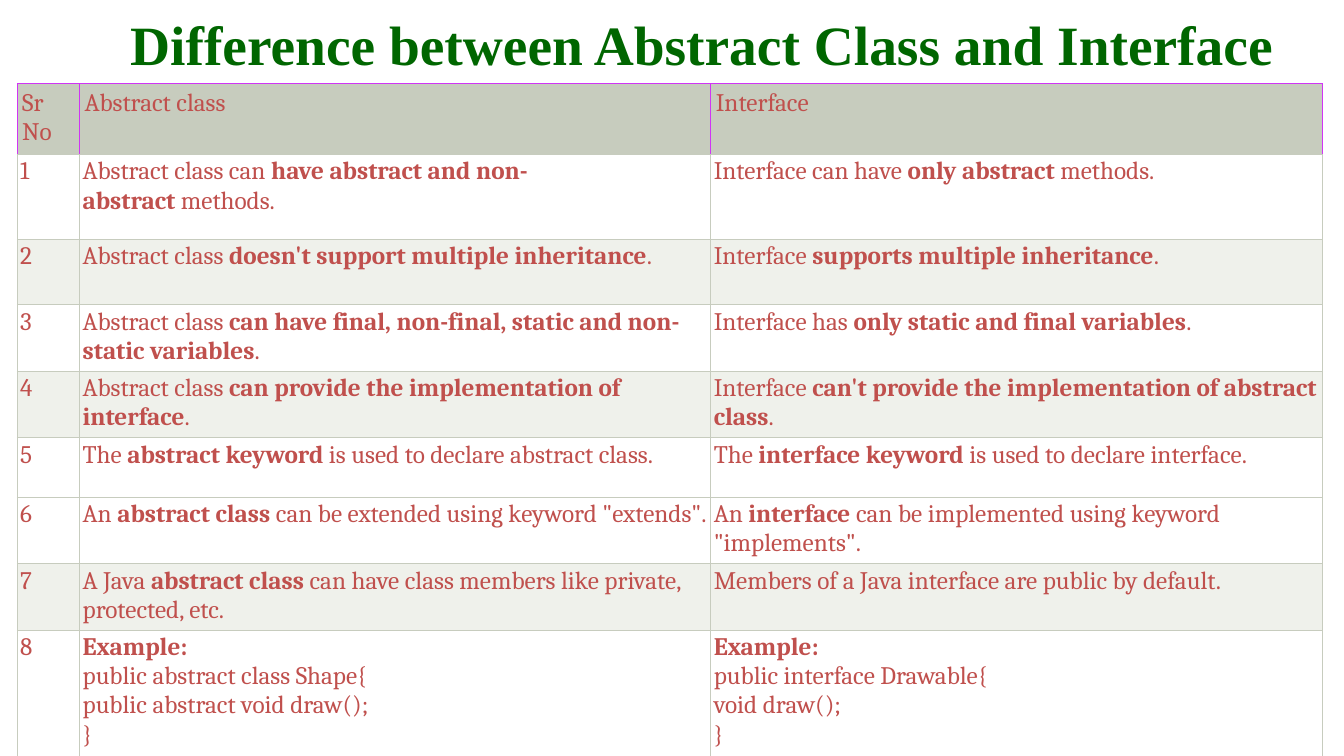
from dataclasses import dataclass

from lxml import etree
from pptx import Presentation
from pptx.dml.color import RGBColor
from pptx.enum import text
from pptx.oxml import ns
from pptx.util import Inches, Pt

NBSP = chr(160)


@dataclass(frozen=True)
class Theme:
    title_font: str = "Times New Roman"
    body_font: str = "Cambria"
    title_size: float = 39.6
    body_size: float = 18
    border_width: float = 0.6
    title_color: str = "006600"
    body_color: str = "C0504D"
    header_fill: str = "C7CCBE"
    plain_fill: str = "FFFFFF"
    band_fill: str = "EFF1EB"
    grid_color: str = "C7CCBE"
    header_border: str = "D034F5"


THEME = Theme()
COLUMNS = [0.62, 6.26, 6.07]
ROW_HEIGHTS = [0.37, 0.84, 0.65, 0.65, 0.65, 0.59, 0.65, 0.65, 1.11]
BANDED_ROWS = {2, 4, 7}
HEADINGS = ("Sr No", "Abstract class", "Interface")
COMPARISONS = [
    ("Abstract class can *have abstract and non-abstract* methods.",
     "Interface can have *only abstract* methods."),
    ("Abstract class *doesn't support multiple inheritance*.",
     "Interface *supports multiple inheritance*."),
    ("Abstract class *can have final, non-final, static and non-static variables*.",
     "Interface has *only static and final variables*."),
    ("Abstract class *can provide the implementation of interface*.",
     "Interface *can't provide the implementation of abstract class*."),
    ("The *abstract keyword* is used to declare abstract class.",
     "The *interface keyword* is used to declare interface."),
    ('An *abstract class* can be extended using keyword "extends".',
     'An *interface* can be implemented using keyword "implements".'),
    ("A Java *abstract class* can have class members like private, protected, etc.",
     "Members of a Java interface are public by default."),
    ("*Example:*\npublic abstract class Shape{\npublic abstract void draw();\n}",
     "*Example:*\npublic interface Drawable{\nvoid draw();\n}"),
]


def write(frame, words, *, font, size, color, bold=False, align=None):
    """Fill a text frame; words between asterisks switch boldness."""
    para = frame.paragraphs[0]
    para.alignment = align
    words = words.replace(" *", NBSP + "*").replace("* ", "*" + NBSP)
    for index, part in enumerate(words.split("*")):
        for number, line in enumerate(part.split("\n")):
            if number:
                para.add_line_break()
            if line:
                span = para.add_run()
                span.text = line
                span.font.name = font
                span.font.size = Pt(size)
                span.font.bold = bold != bool(index % 2)
                span.font.color.rgb = RGBColor.from_string(color)


class Page:
    def __init__(self, deck, theme):
        self.theme = theme
        self.slide = deck.slides.add_slide(deck.slide_layouts[6])

    def title(self, words, left, top, width, height):
        box = self.slide.shapes.add_textbox(
            Inches(left), Inches(top), Inches(width), Inches(height))
        frame = box.text_frame
        frame.word_wrap = True
        frame.vertical_anchor = text.MSO_ANCHOR.MIDDLE
        write(frame, words, font=self.theme.title_font, size=self.theme.title_size,
              color=self.theme.title_color, bold=True, align=text.PP_ALIGN.CENTER)

    def table(self, rows, left, top, columns, heights, banded):
        table = self.slide.shapes.add_table(
            len(rows), len(columns), Inches(left), Inches(top),
            Inches(sum(columns)), Inches(sum(heights))).table
        table.first_row = False
        table.horz_banding = False
        for column, width in zip(table.columns, columns):
            column.width = Inches(width)
        for index, (row, height, entries) in enumerate(zip(table.rows, heights, rows)):
            row.height = Inches(height)
            fill = self.theme.band_fill if index in banded else self.theme.plain_fill
            for cell, words in zip(row.cells, entries):
                if index == 0:
                    self.cell(cell, words, 0.05, self.theme.header_fill,
                              self.theme.header_border)
                else:
                    self.cell(cell, words, 0.03, fill, self.theme.grid_color)

    def cell(self, cell, words, margin, fill, border):
        cell.margin_left = cell.margin_right = Inches(margin)
        cell.margin_top = cell.margin_bottom = Inches(margin)
        for side in ("lnL", "lnR", "lnT"):
            self.border(cell, side, border)
        self.border(cell, "lnB", self.theme.grid_color)
        cell.fill.solid()
        cell.fill.fore_color.rgb = RGBColor.from_string(fill)
        write(cell.text_frame, words, font=self.theme.body_font,
              size=self.theme.body_size, color=self.theme.body_color)

    def border(self, cell, side, color):
        properties = cell._tc.get_or_add_tcPr()
        line = etree.SubElement(properties, ns.qn(f"a:{side}"),
                                w=str(Pt(self.theme.border_width)))
        solid = etree.SubElement(line, ns.qn("a:solidFill"))
        etree.SubElement(solid, ns.qn("a:srgbClr"), val=color)


def main():
    deck = Presentation()
    deck.slide_width, deck.slide_height = Inches(13.33), Inches(7.5)
    page = Page(deck, THEME)
    page.title("Difference between Abstract Class and Interface", 0.92, 0, 12.08, 0.87)
    numbered = [(str(number), *pair) for number, pair in enumerate(COMPARISONS, 1)]
    page.table([HEADINGS, *numbered], 0.17, 0.83, COLUMNS, ROW_HEIGHTS, BANDED_ROWS)
    deck.save("out.pptx")


if __name__ == "__main__":
    main()
